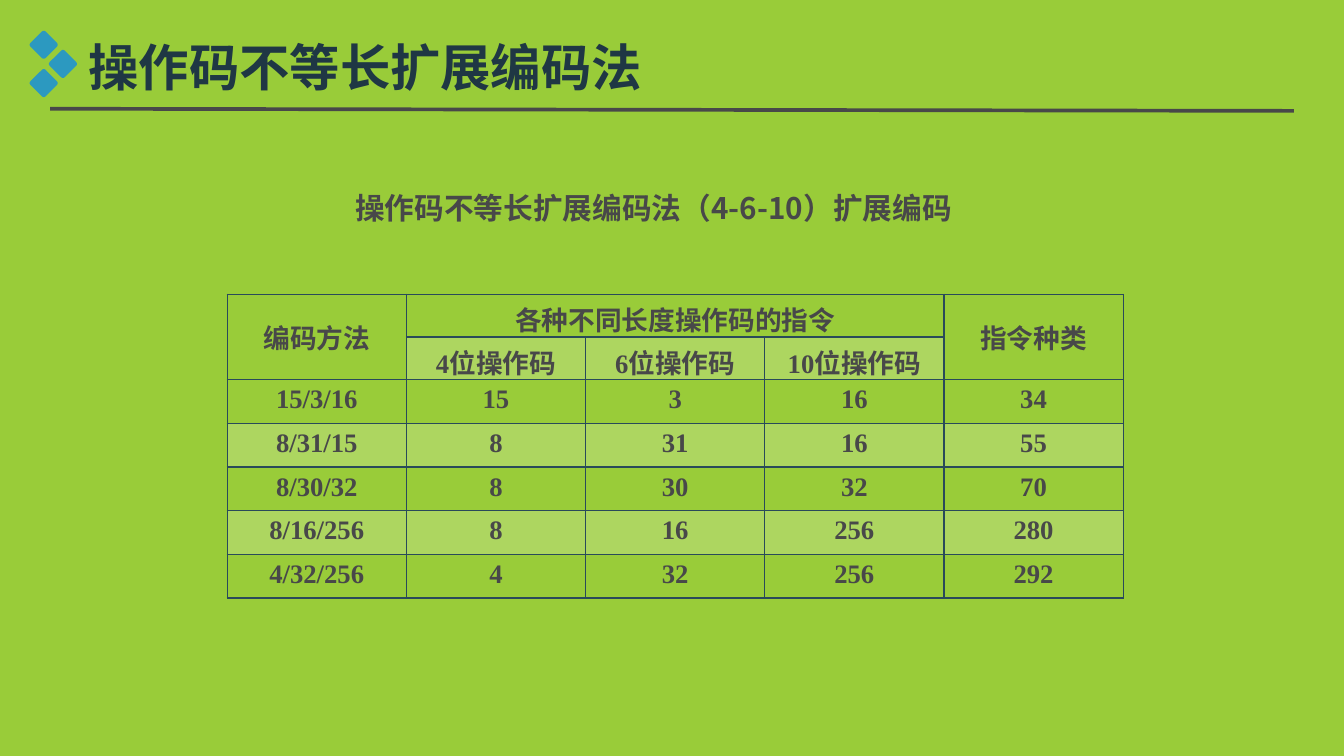
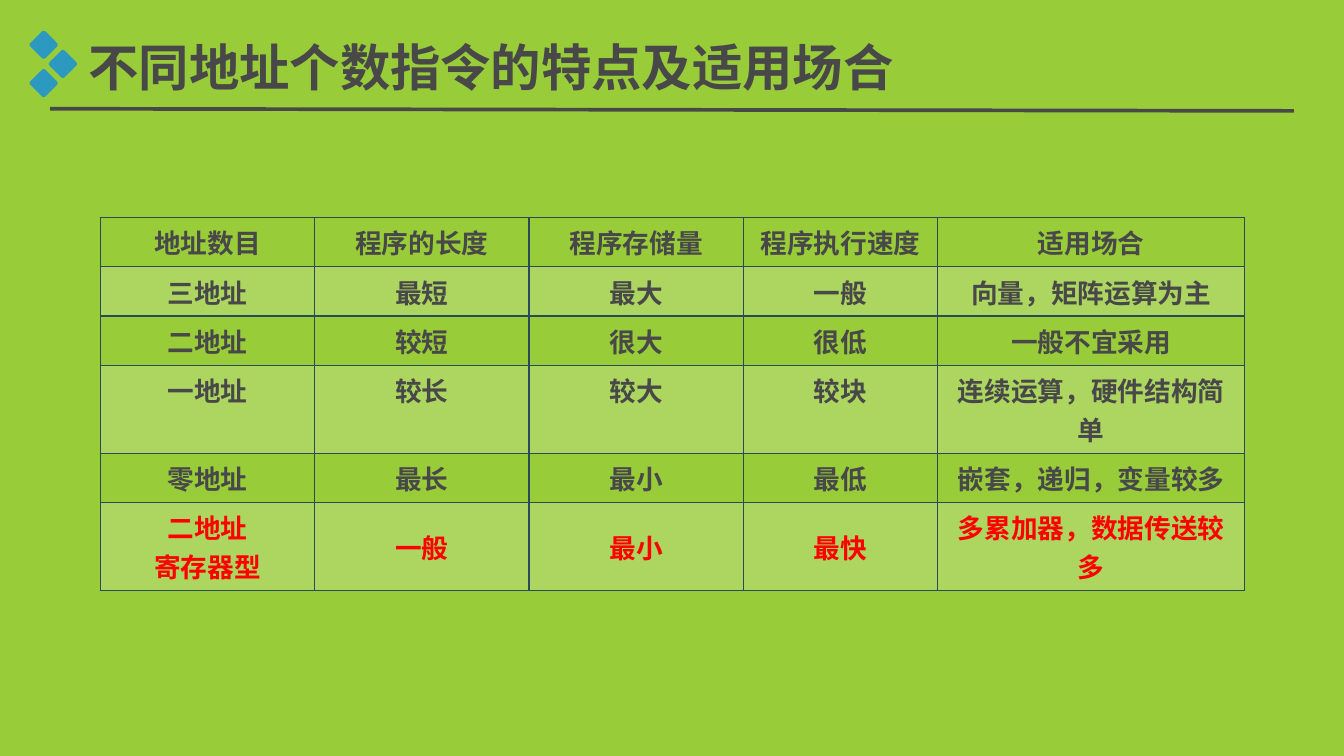
from dataclasses import dataclass

from pptx import Presentation
from pptx.dml.color import RGBColor
from pptx.enum.shapes import MSO_CONNECTOR as Connector, MSO_SHAPE as Shape
from pptx.enum.text import MSO_ANCHOR as Anchor, MSO_AUTO_SIZE as AutoSize, PP_ALIGN as Align
from pptx.oxml import parse_xml
from pptx.oxml.ns import nsdecls, qn
from pptx.oxml.xmlchemy import OxmlElement
from pptx.util import Inches, Pt


@dataclass(frozen=True)
class Theme:
    background: str = "99CC39"
    ink: str = "484849"
    navy: str = "1F3744"
    accent: str = "2C99C0"
    border: str = "294A5A"
    band: str = "FFFFFF"
    alert: str = "FF0000"
    band_opacity: int = 20000
    title_size: int = 34
    caption_size: int = 20
    table_size: int = 18
    chinese: str = "Noto Sans CJK SC"
    latin_title: str = "Arial"
    latin_table: str = "Times New Roman"


THEME = Theme()
WIDTH, HEIGHT = 12.6, 7.09
TITLE_BOX = (0.73, 0.29, 10, 0.67)
RULE = (0.47, 1.02, 12.13, 1.04)
DIAMOND_SIDE = 0.2
DIAMOND_CENTRES = [(0.41, 0.42), (0.59, 0.6), (0.41, 0.78)]

# Content: None marks a cell covered by a merged neighbour
SLIDES = [
    {
        "title": "操作码不等长扩展编码法",
        "title_style": {"name": THEME.latin_title, "color": THEME.navy},
        "caption": "操作码不等长扩展编码法（4-6-10）扩展编码",
        "caption_box": (3.23, 1.73, 6.95, 0.44),
        "table": {
            "at": (2.13, 2.76),
            "columns": [1.68] * 5,
            "heights": [0.4] * 2 + [0.41] * 5,
            "merges": [((0, 0), (1, 0)), ((0, 1), (0, 3)), ((0, 4), (1, 4))],
            "middle_rows": {0, 1},
            "tight_cells": {(row, column) for row in (0, 1) for column in (1, 2, 3)},
            "rows": [
                ["编码方法", "各种不同长度操作码的指令", None, None, "指令种类"],
                [None, "4位操作码", "6位操作码", "10位操作码", None],
                ["15/3/16", "15", "3", "16", "34"],
                ["8/31/15", "8", "31", "16", "55"],
                ["8/30/32", "8", "30", "32", "70"],
                ["8/16/256", "8", "16", "256", "280"],
                ["4/32/256", "4", "32", "256", "292"],
            ],
        },
    },
    {
        "title": "不同地址个数指令的特点及适用场合",
        "title_style": {"name": THEME.chinese, "color": THEME.ink},
        "table": {
            "at": (0.94, 2.04),
            "columns": [2.01, 2.01, 2.01, 1.82, 2.88],
            "heights": [0.46, 0.46, 0.46, 0.82, 0.46, 0.82],
            "middle_rows": {0, 5},
            "alert_rows": {5},
            "rows": [
                ["地址数目", "程序的长度", "程序存储量", "程序执行速度", "适用场合"],
                ["三地址", "最短", "最大", "一般", "向量，矩阵运算为主"],
                ["二地址", "较短", "很大", "很低", "一般不宜采用"],
                ["一地址", "较长", "较大", "较块", "连续运算，硬件结构简单"],
                ["零地址", "最长", "最小", "最低", "嵌套，递归，变量较多"],
                ["二地址\n寄存器型", "一般", "最小", "最快", "多累加器，数据传送较多"],
            ],
        },
    },
]


def inches(values):
    return [Inches(value) for value in values]


def write(frame, text, size, name, color, align=Align.LEFT):
    """Fill a text frame with bold text in a Latin and a Chinese font."""
    frame.text = text
    for paragraph in frame.paragraphs:
        paragraph.alignment = align
        for run in paragraph.runs:
            for key, value in {"size": Pt(size), "name": name, "bold": True}.items():
                setattr(run.font, key, value)
            run.font.color.rgb = RGBColor.from_string(color)
            east_asian = OxmlElement("a:ea")
            east_asian.set("typeface", THEME.chinese)
            run.font._element.find(qn("a:latin")).addnext(east_asian)


def add_header(slide, title, style):
    # Title placeholder
    shape = slide.shapes.title
    shape.left, shape.top, shape.width, shape.height = inches(TITLE_BOX)
    write(shape.text_frame, title, THEME.title_size, **style)
    shape.text_frame.auto_size = AutoSize.NONE
    shape.text_frame.vertical_anchor = Anchor.MIDDLE

    # Three rounded diamonds
    for x, y in DIAMOND_CENTRES:
        corner = (x - DIAMOND_SIDE / 2, y - DIAMOND_SIDE / 2)
        diamond = slide.shapes.add_shape(
            Shape.ROUNDED_RECTANGLE, *inches(corner + (DIAMOND_SIDE, DIAMOND_SIDE)))
        diamond.adjustments[0] = 0.12
        diamond.rotation = 45
        diamond.shadow.inherit = False
        diamond.fill.solid()
        diamond.fill.fore_color.rgb = RGBColor.from_string(THEME.accent)
        diamond.line.fill.background()

    # Rule under the title
    rule = slide.shapes.add_connector(Connector.STRAIGHT, *inches(RULE))
    rule.line.width = Pt(2.5)
    rule.line.color.rgb = RGBColor.from_string(THEME.ink)
    rule._element.spPr.append(OxmlElement("a:effectLst"))


def add_caption(slide, text, box):
    frame = slide.shapes.add_textbox(*inches(box)).text_frame
    frame.word_wrap = True
    write(frame, text, THEME.caption_size, THEME.chinese, THEME.ink)


def style_cell(cell, banded):
    """Set the translucent band and the four borders of a cell."""
    if banded:
        cell.fill.solid()
        cell.fill.fore_color.rgb = RGBColor.from_string(THEME.band)
    else:
        cell.fill.background()
    properties = cell._tc.get_or_add_tcPr()
    for color in properties.iter(qn("a:srgbClr")):
        alpha = OxmlElement("a:alpha")
        alpha.set("val", str(THEME.band_opacity))
        color.append(alpha)
    for index, side in enumerate("LRTB"):
        properties.insert(index, parse_xml(
            f'<a:ln{side} {nsdecls("a")} w="{Pt(1)}"><a:solidFill>'
            f'<a:srgbClr val="{THEME.border}"/></a:solidFill></a:ln{side}>'))


def add_grid(slide, at, columns, heights, rows, middle_rows,
             merges=(), tight_cells=(), alert_rows=()):
    size = (sum(columns), sum(heights))
    table = slide.shapes.add_table(len(rows), len(columns), *inches(at + size)).table
    table.first_row = table.horz_banding = False
    for column, width in zip(table.columns, columns):
        column.width = Inches(width)
    for row, height in zip(table.rows, heights):
        row.height = Inches(height)
    for (top, left), (bottom, right) in merges:
        table.cell(top, left).merge(table.cell(bottom, right))

    for r, texts in enumerate(rows):
        for c, text in enumerate(texts):
            cell = table.cell(r, c)
            if text is not None:
                write(cell.text_frame, text, THEME.table_size, THEME.latin_table,
                      THEME.alert if r in alert_rows else THEME.ink, Align.CENTER)
                cell.vertical_anchor = Anchor.MIDDLE if r in middle_rows else Anchor.TOP
            if (r, c) in tight_cells:
                cell.margin_bottom = 0
            style_cell(cell, banded=r % 2 == 1 and text is not None)


def main():
    presentation = Presentation()
    presentation.slide_width, presentation.slide_height = inches((WIDTH, HEIGHT))
    background = presentation.slide_master.background.fill
    background.solid()
    background.fore_color.rgb = RGBColor.from_string(THEME.background)
    title_only = presentation.slide_layouts[5]

    for content in SLIDES:
        slide = presentation.slides.add_slide(title_only)
        add_header(slide, content["title"], content["title_style"])
        if "caption" in content:
            add_caption(slide, content["caption"], content["caption_box"])
        add_grid(slide, **content["table"])

    presentation.save("out.pptx")


if __name__ == "__main__":
    main()
